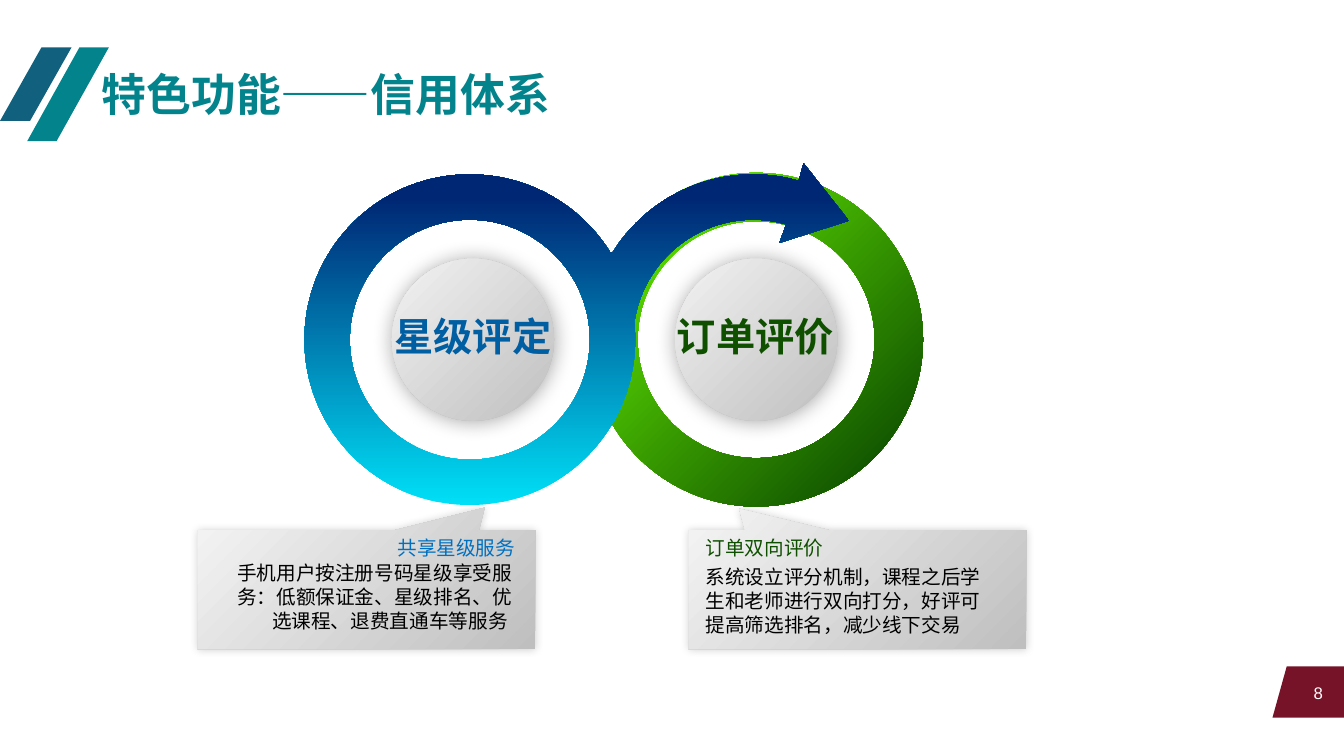
from math import ceil, cos, radians, sin, tan

from lxml import etree
from pptx import Presentation
from pptx.dml.color import RGBColor
from pptx.enum.shapes import MSO_SHAPE
from pptx.enum.text import MSO_ANCHOR, PP_ALIGN
from pptx.oxml.ns import qn
from pptx.util import Inches, Pt

PARALLELOGRAM = MSO_SHAPE.PARALLELOGRAM
MANUAL_INPUT = MSO_SHAPE.FLOWCHART_MANUAL_INPUT
OVAL, DONUT = MSO_SHAPE.OVAL, MSO_SHAPE.DONUT
CALLOUT = MSO_SHAPE.RECTANGULAR_CALLOUT
LEFT, CENTER, RIGHT = PP_ALIGN.LEFT, PP_ALIGN.CENTER, PP_ALIGN.RIGHT
TOP, MIDDLE = MSO_ANCHOR.TOP, MSO_ANCHOR.MIDDLE

CJK_FONT = "Noto Sans CJK SC"
TEAL, NAVY, MAROON = "03838C", "11607E", "761328"
BLUE, SKY, GREEN = "005EA2", "0070C0", "0F5000"
BLACK, WHITE = "000000", "FFFFFF"
SILVER = ((0, "BFBFBF"), (1, "F2F2F2"), 225)
LIME = ((0, "6EFF01"), (0.9, GREEN), 45)
OCEAN = ((0, "00DFF6"), (0.9, "002774"), 270)


def color(value):
    return RGBColor.from_string(value)


def paint(shape, fill):
    """Fill with a hex colour or with (start stop, end stop, clockwise angle)."""
    shape.shadow.inherit = False
    shape.line.fill.background()
    if isinstance(fill, str):
        shape.fill.solid()
        shape.fill.fore_color.rgb = color(fill)
        return
    *stops, angle = fill
    shape.fill.gradient()
    shape.fill.gradient_angle = 360 - angle
    for stop, (position, value) in zip(shape.fill.gradient_stops, stops):
        stop.position = position
        stop.color.rgb = color(value)


def add_shape(slide, kind, box, fill, adjustments=()):
    shape = slide.shapes.add_shape(kind, *map(Inches, box))
    paint(shape, fill)
    for index, value in enumerate(adjustments):
        shape.adjustments[index] = value
    return shape


def add_shadow(shape, opacity, blur, distance, direction):
    effects = shape._element.spPr.find(qn("a:effectLst"))
    shadow = etree.SubElement(
        effects, qn("a:outerShdw"), blurRad=str(Pt(blur)), dist=str(Pt(distance)),
        dir=str(direction * 60000), algn="ctr", rotWithShape="0")
    tint = etree.SubElement(shadow, qn("a:srgbClr"), val=BLACK)
    etree.SubElement(tint, qn("a:alpha"), val=str(opacity * 1000))


def add_text(slide, box, text, size, value, align=LEFT, bold=False,
             font=CJK_FONT, anchor=TOP, wrap=True):
    frame = slide.shapes.add_textbox(*map(Inches, box)).text_frame
    frame.word_wrap = wrap
    frame.vertical_anchor = anchor
    paragraph = frame.paragraphs[0]
    paragraph.alignment = align
    run = paragraph.add_run()
    run.text = text
    run.font.size = Pt(size)
    run.font.bold = bold
    run.font.name = font
    run.font.color.rgb = color(value)
    etree.SubElement(run.font._element, qn("a:ea"), typeface=font)


def add_header(slide, left, top):
    add_shape(slide, PARALLELOGRAM, (left, top, 0.71, 0.73), NAVY, [0.58])
    add_shape(slide, PARALLELOGRAM, (left + 0.27, top, 0.81, 0.93), TEAL, [0.64])
    add_text(slide, (left + 0.91, top + 0.14, 4.69, 0.64), "特色功能——信用体系",
             32, TEAL, bold=True, wrap=False)


def add_page_number(slide, left, top, number):
    tab = add_shape(slide, MANUAL_INPUT, (left + 0.1, top - 0.1, 0.51, 0.71), MAROON)
    tab.rotation = 270
    tab._element.spPr.xfrm.set("flipH", "1")
    add_text(slide, (left - 0.78, top + 0.06, 1.38, 0.4), number, 12, WHITE,
             RIGHT, font="Arial", anchor=MIDDLE)


def add_disc(slide, center_x, center_y):
    """Silver disc with a soft shadow over a white base."""
    for diameter, fill in ((2.09, WHITE), (1.61, SILVER)):
        corner = center_x - diameter / 2, center_y - diameter / 2
        disc = add_shape(slide, OVAL, (*corner, diameter, diameter), fill)
    add_shadow(disc, 35, 15, 1, 50)


def arc(center_x, center_y, radius, start, *ends):
    """Curve steps (control, control, end) through the angles, after a first point.

    Angles are in degrees, counterclockwise from the right.
    """
    def point(angle, tangent=0):
        x, y = cos(angle), sin(angle)
        return (Inches(center_x + radius * (x - tangent * y)),
                Inches(center_y - radius * (y + tangent * x)))

    steps = [(point(radians(start)),)]
    for end in ends:
        first, last = radians(start), radians(end)
        pull = 4 / 3 * tan((last - first) / 4)
        steps.append((point(first, pull), point(last, -pull), point(last)))
        start = end
    return steps


def add_curved_shape(slide, *contours):
    """Freeform whose steps are lines (one point) or curves (three points)."""
    builder = slide.shapes.build_freeform(*contours[0][0][-1])
    for index, contour in enumerate(contours):
        if index:
            builder.move_to(*contour[0][-1])
        builder.add_line_segments([step[-1] for step in contour[1:]], close=False)
        builder._add_close()
    shape = builder.convert_to_shape()
    lines = list(shape._element.iter(qn("a:lnTo")))
    steps = [step for contour in contours for step in contour[1:]]
    for line, step in zip(lines, steps):
        if len(step) == 3:
            line.tag = qn("a:cubicBezTo")
            for index, (x, y) in enumerate(step[:2]):
                line.insert(index, line.makeelement(
                    qn("a:pt"), x=str(x - shape.left), y=str(y - shape.top)))
    return shape


def add_loop_arrow(slide, left_x, right_x, center_y):
    """Blue ring whose band runs over the green ring and ends in an arrowhead."""
    outer, inner = 1.64, 1.19
    head = [(0.26, -0.96), (0.95, -1.18), (0.5, -1.75)]
    outline = arc(right_x, center_y, outer, 74, 90, 148)
    outline += arc(left_x, center_y, outer, 32, 90, 180, 270, 360, 367)
    outline += arc(right_x, center_y, inner, 170, 74)
    outline += [((Inches(right_x + x), Inches(center_y + y)),) for x, y in head]
    hole = arc(left_x, center_y, inner, 0, 90, 180, 270, 360)
    paint(add_curved_shape(slide, outline, hole), OCEAN)


def add_rings(slide, left_x, right_x, center_y):
    add_disc(slide, right_x + 0.03, center_y)
    add_disc(slide, left_x + 0.03, center_y)
    radius = 1.655
    add_shape(slide, DONUT, (right_x + 0.03 - radius, center_y - radius,
                             2 * radius, 2 * radius), LIME, [0.145])
    for center_x, label, value in ((left_x, "星级评定", BLUE),
                                   (right_x - 0.01, "订单评价", GREEN)):
        add_text(slide, (center_x - 0.91, center_y - 0.32, 1.88, 0.57), label, 28,
                 value, CENTER, bold=True)
    add_loop_arrow(slide, left_x, right_x, center_y)


def add_callout(slide, left, top, pointer, shadow_angle, heading, body, value, align):
    """heading and body are (text, left offset, top offset, width, height)."""
    bubble = add_shape(slide, CALLOUT, (left, top, 3.35, 1.18), SILVER, pointer)
    add_shadow(bubble, 20, 6, 0, shadow_angle)
    for (text, x, y, width, height), shade in ((body, BLACK), (heading, value)):
        add_text(slide, (left + x, top + y, width, height), text, 14, shade, align)


def main():
    presentation = Presentation()
    presentation.slide_width, presentation.slide_height = Inches(13.33), Inches(7.5)
    slide = presentation.slides.add_slide(presentation.slide_layouts[6])
    add_page_number(slide, 12.62, 6.61, "8")
    add_header(slide, 0, 0.47)
    add_rings(slide, 4.66, 7.47, 3.37)
    add_callout(
        slide, 1.96, 5.26, (0.35, -0.69), 315,
        ("共享星级服务", 1.41, 0.01, 1.84, 0.34),
        ("手机用户按注册号码星级享受服务：低额保证金、星级排名、优选课程、退费直通车等服务 ",
         0.17, 0.26, 3.05, 1.04),
        SKY, RIGHT)
    add_callout(
        slide, 6.83, 5.26, (-0.35, -0.68), 225,
        ("订单双向评价", 0.07, 0.01, 1.84, 0.34),
        ("系统设立评分机制，课程之后学生和老师进行双向打分，好评可提高筛选排名，减少线下交易",
         0.07, 0.3, 2.96, 0.81),
        GREEN, LEFT)
    presentation.save("out.pptx")


if __name__ == "__main__":
    main()
